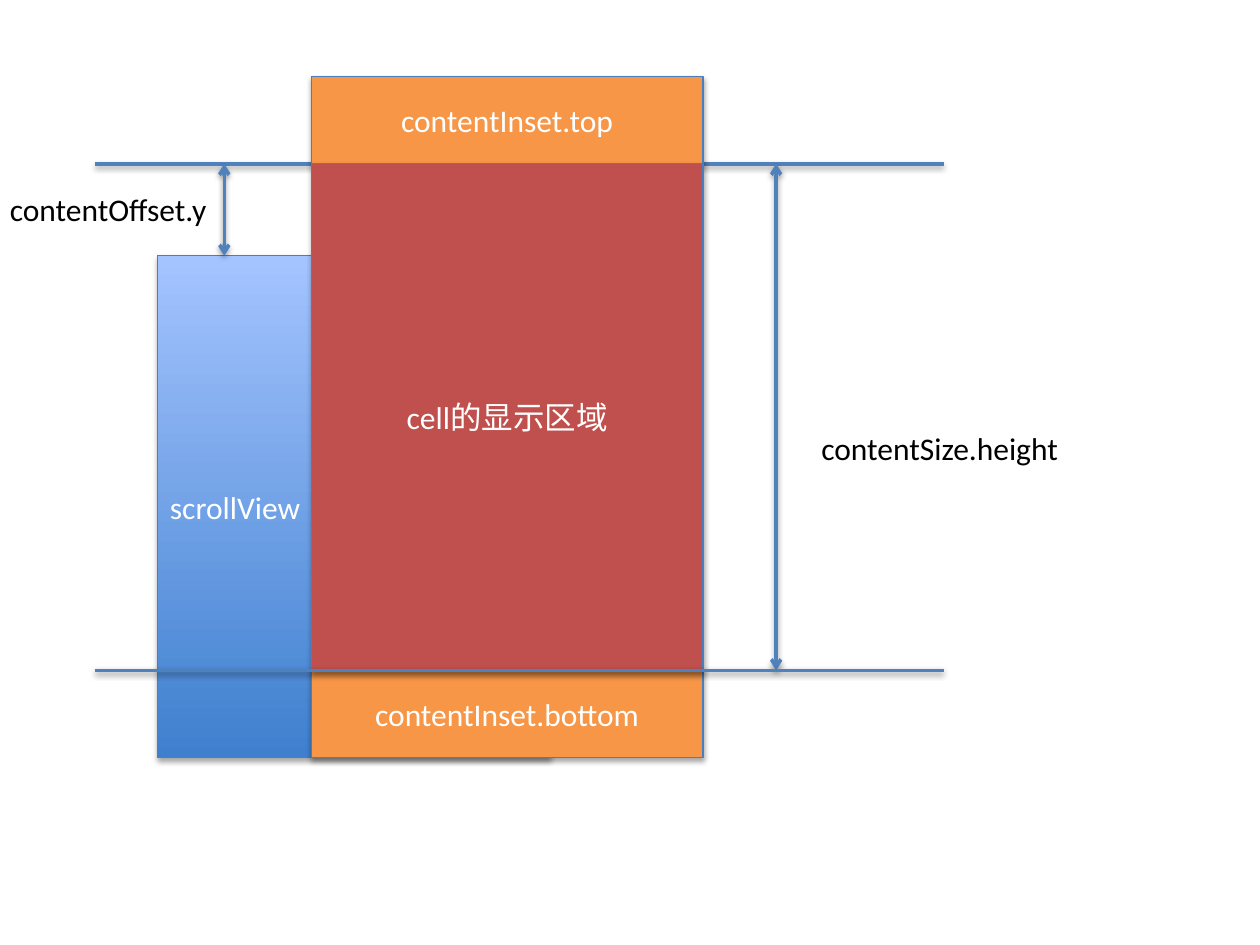
from dataclasses import dataclass

from pptx import Presentation
from pptx.dml.color import RGBColor
from pptx.enum.shapes import MSO_CONNECTOR, MSO_SHAPE
from pptx.enum.text import MSO_ANCHOR, MSO_AUTO_SIZE, PP_ALIGN
from pptx.oxml import parse_xml
from pptx.oxml.ns import nsdecls
from pptx.util import Inches, Pt


@dataclass(frozen=True)
class Theme:
    """Colours, type and line widths of the slide."""
    font: str = "Calibri"
    size: float = 18
    ink: str = "000000"
    paper: str = "FFFFFF"
    inset: str = "F79646"
    cell: str = "C0504D"
    view_dark: str = "3F80CE"
    view_light: str = "A4C4FF"
    outline: str = "4B7EBC"
    rule: str = "4F81BD"
    outline_width: float = 0.75
    rule_width: float = 2


@dataclass(frozen=True)
class Box:
    """A rectangle in columns and rows of the page grid."""
    left: float
    top: float
    width: float
    height: float

    @property
    def right(self):
        return self.left + self.width

    @property
    def bottom(self):
        return self.top + self.height

    def frame(self):
        """Return left, top, width and height as lengths."""
        return [grid(value) for value in (self.left, self.top, self.width, self.height)]


THEME = Theme()
COLUMNS, ROWS = 100, 75
CELL = 0.1
INSET_ROWS = 6.9


def grid(count):
    """Turn a count of grid cells into a length."""
    return Inches(round(count * CELL, 2))


def color(value):
    """Turn a hex string into a colour."""
    return RGBColor.from_string(value)


def add_shadow(shape, distance, opacity):
    """Give a shape or connector a soft shadow that falls straight down."""
    shape._element.spPr.append(parse_xml(
        f'<a:effectLst {nsdecls("a")}><a:outerShdw blurRad="{Pt(3.1)}" dist="{Pt(distance)}" '
        f'dir="5400000" rotWithShape="0"><a:srgbClr val="000000">'
        f'<a:alpha val="{opacity * 1000}"/></a:srgbClr></a:outerShdw></a:effectLst>'))


def write(shape, text, ink=THEME.ink, align=PP_ALIGN.LEFT, anchor=MSO_ANCHOR.TOP, wrap=True):
    """Write one formatted line into a shape."""
    frame = shape.text_frame
    frame.word_wrap = wrap
    frame.vertical_anchor = anchor
    para = frame.paragraphs[0]
    para.alignment = align
    span = para.add_run()
    span.text = text
    span.font.name = THEME.font
    span.font.size = Pt(THEME.size)
    span.font.color.rgb = color(ink)


def add_panel(shapes, box, text, fill=None, align=PP_ALIGN.CENTER):
    """Draw a captioned rectangle; without a fill it takes the view gradient."""
    panel = shapes.add_shape(MSO_SHAPE.RECTANGLE, *box.frame())
    if fill:
        panel.fill.solid()
        panel.fill.fore_color.rgb = color(fill)
    else:
        panel.fill.gradient()
        panel.fill.gradient_angle = 90
        for stop, tone in zip(panel.fill.gradient_stops, (THEME.view_dark, THEME.view_light)):
            stop.color.rgb = color(tone)
    panel.line.color.rgb = color(THEME.outline)
    panel.line.width = Pt(THEME.outline_width)
    add_shadow(panel, 1.8, 35)
    write(panel, text, ink=THEME.paper, align=align, anchor=MSO_ANCHOR.MIDDLE)


def add_rule(page, start, end, arrows=False):
    """Draw a line between two grid points, with arrowheads if asked."""
    rule = page.shapes.add_connector(
        MSO_CONNECTOR.STRAIGHT, *[grid(value) for value in (*start, *end)])
    rule.line.color.rgb = color(THEME.rule)
    rule.line.width = Pt(THEME.rule_width)
    if arrows:
        for name in ("headEnd", "tailEnd"):
            rule.line._ln.append(parse_xml(f'<a:{name} {nsdecls("a")} type="arrow"/>'))
    add_shadow(rule, 1.6, 38)


def add_label(page, box, text):
    """Place a black label that keeps to one line."""
    label = page.shapes.add_textbox(*box.frame())
    write(label, text, wrap=False)
    label.text_frame.auto_size = MSO_AUTO_SIZE.SHAPE_TO_FIT_TEXT


def add_boundary(page, cell, row):
    """Draw a horizontal line reaching past both sides of the cell area."""
    add_rule(page, (cell.left - 17.2, row), (cell.right + 19.1, row))


def add_scroll_view(page, view, cell):
    """Draw the scroll view, the upper boundary and the offset arrow."""
    add_panel(page.shapes, view, "scrollView", align=PP_ALIGN.LEFT)
    add_boundary(page, cell, cell.top)
    column = view.left + 5.3
    add_rule(page, (column, cell.top), (column, view.top), arrows=True)


def add_content(page, content, cell):
    """Draw the grouped content: two insets around the cell area."""
    group = page.shapes.add_group_shape()
    for row, caption in ((content.top, "contentInset.top"),
                         (cell.bottom, "contentInset.bottom")):
        inset = Box(content.left, row, content.width, INSET_ROWS)
        add_panel(group.shapes, inset, caption, fill=THEME.inset)
    add_panel(group.shapes, cell, "cell的显示区域", fill=THEME.cell)


def add_measures(page, view, cell):
    """Label the offset and the content height, and close the lower boundary."""
    add_label(page, Box(view.left - 12.7, cell.top + 1.6, 18, 4), "contentOffset.y")
    column = cell.right + 5.8
    add_rule(page, (column, cell.top), (column, cell.bottom), arrows=True)
    add_label(page, Box(column + 2.6, cell.top + 20.6, 21.2, 4), "contentSize.height")
    add_boundary(page, cell, cell.bottom)


def build():
    """Build and save the one-slide deck."""
    deck = Presentation()
    deck.slide_width, deck.slide_height = grid(COLUMNS), grid(ROWS)
    page = deck.slides.add_slide(deck.slide_layouts[6])
    content = Box(24.7, 6.1, 31.1, 54)
    cell = Box(content.left, content.top + INSET_ROWS,
               content.width, content.height - 2 * INSET_ROWS)
    view = Box(12.5, 20.3, content.width, content.bottom - 20.3)
    add_scroll_view(page, view, cell)
    add_content(page, content, cell)
    add_measures(page, view, cell)
    deck.save("out.pptx")


build()
